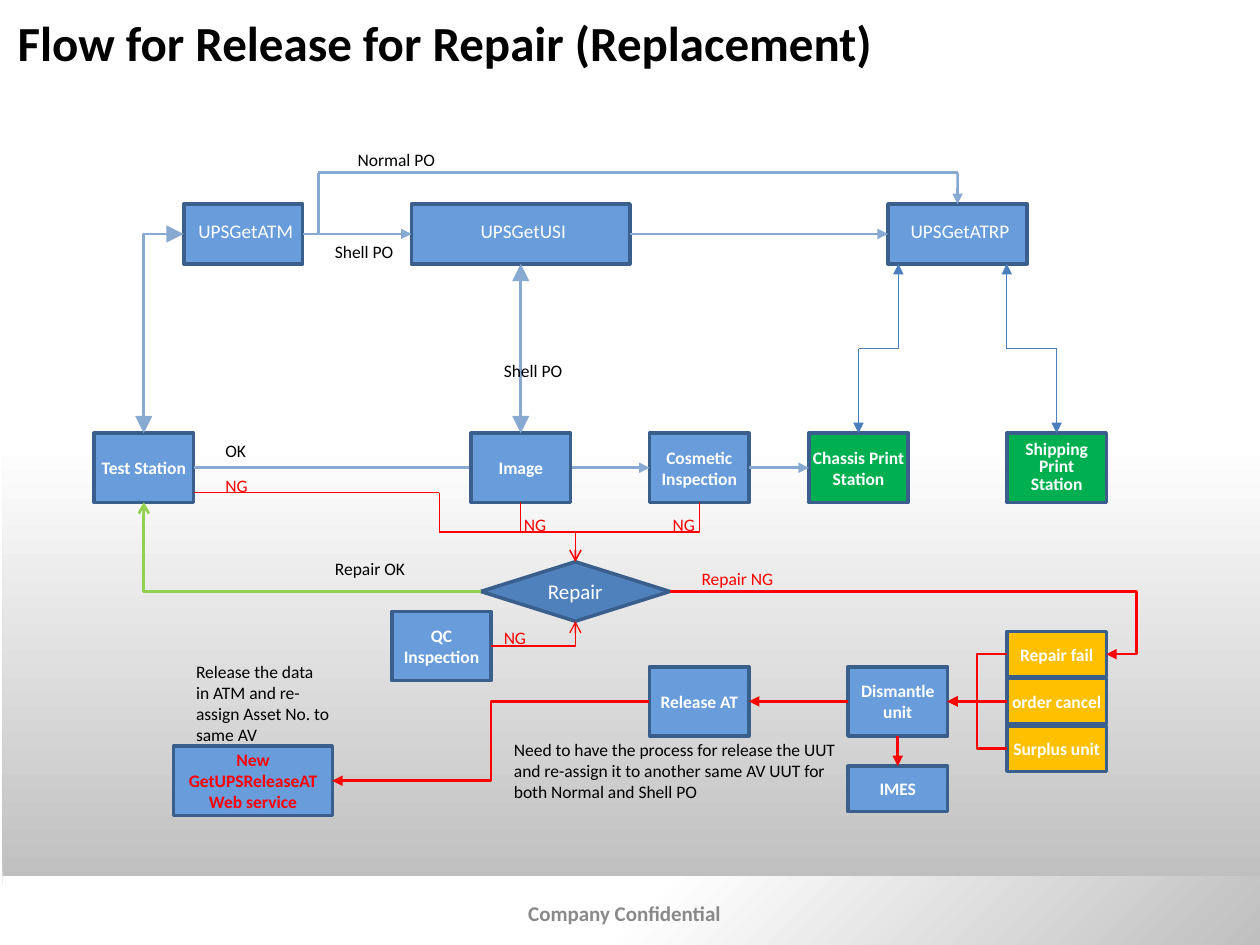
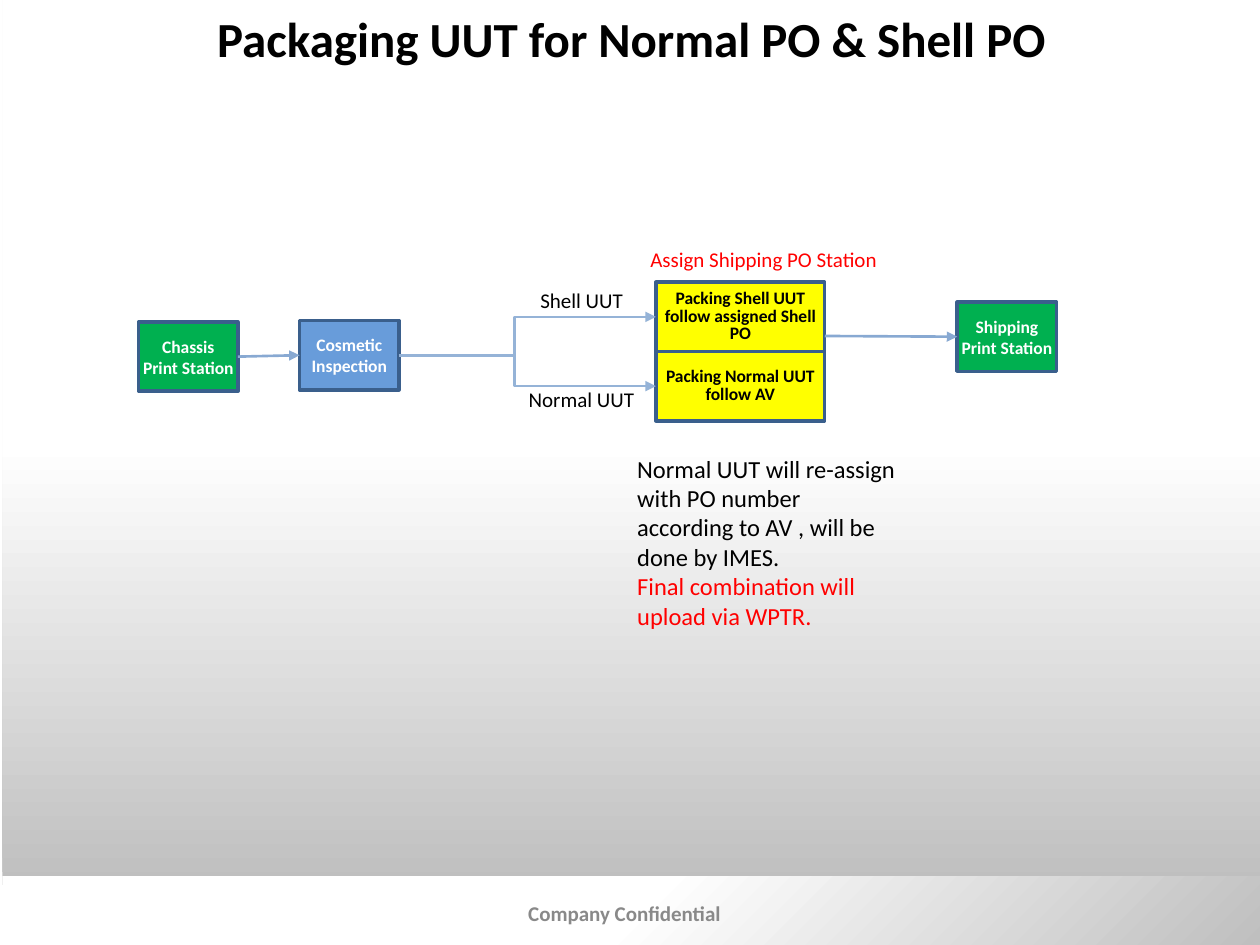
"""Build two slides on the repair release flow and the packaging flow."""
from lxml.etree import SubElement
from pptx import Presentation
from pptx.dml.color import RGBColor
from pptx.enum.shapes import MSO_CONNECTOR, MSO_SHAPE
from pptx.enum.text import MSO_ANCHOR, PP_ALIGN
from pptx.oxml.ns import qn
from pptx.util import Pt

FONT = "Calibri"
BLACK = RGBColor(0x00, 0x00, 0x00)
WHITE = RGBColor(0xFF, 0xFF, 0xFF)
GREY = RGBColor(0xBF, 0xBF, 0xBF)
FOOTER_GREY = RGBColor(0x89, 0x89, 0x89)
RED = RGBColor(0xFF, 0x00, 0x00)
BLUE = RGBColor(0x68, 0x9C, 0xDA)
REPAIR_BLUE = RGBColor(0x4F, 0x81, 0xBD)
OUTLINE = RGBColor(0x3A, 0x5F, 0x8C)
GREEN = RGBColor(0x00, 0xB0, 0x50)
ORANGE = RGBColor(0xFF, 0xC0, 0x00)
YELLOW = RGBColor(0xFF, 0xFF, 0x00)
FLOW_BLUE = RGBColor(0x88, 0xA9, 0xD2)
PRINT_BLUE = RGBColor(0x4B, 0x7E, 0xBC)
PACK_BLUE = RGBColor(0x95, 0xB3, 0xD7)
OK_GREEN = RGBColor(0x92, 0xD0, 0x50)

STATION_WIDTH, STATION_HEIGHT = 56.8, 39.6
SERVER_TOP, SERVER_HEIGHT = 116.6, 34.2
STATION_TOP = 247.5
TOP, LEFT, BOTTOM, RIGHT = range(4)


def format_text(frame, size, color, bold=False, align=PP_ALIGN.LEFT, spacing=None):
    """Format every paragraph and run of a text frame."""
    for para in frame.paragraphs:
        para.alignment = align
        if spacing:
            para.line_spacing = Pt(spacing)
        for span in para.runs:
            font = span.font
            font.name, font.size, font.bold = FONT, Pt(size), bold
            font.color.rgb = color


def add_label(slide, text, left, top, width, height, size=10, color=BLACK,
              bold=False, wrap=True):
    """Add a plain text box."""
    box = slide.shapes.add_textbox(Pt(left), Pt(top), Pt(width), Pt(height))
    frame = box.text_frame
    frame.text = text
    frame.word_wrap = wrap
    format_text(frame, size, color, bold)
    return box


def add_box(slide, text, left, top, width=STATION_WIDTH, height=STATION_HEIGHT,
            fill=BLUE, color=WHITE, size=10, bold=True, spacing=None, inset=3.6,
            kind=MSO_SHAPE.RECTANGLE):
    """Add an outlined flow box with centred text."""
    box = slide.shapes.add_shape(kind, Pt(left), Pt(top), Pt(width), Pt(height))
    box.shadow.inherit = False
    box.fill.solid()
    box.fill.fore_color.rgb = fill
    box.line.color.rgb = OUTLINE
    box.line.width = Pt(2)
    frame = box.text_frame
    frame.text = text
    frame.word_wrap = True
    frame.vertical_anchor = MSO_ANCHOR.MIDDLE
    frame.margin_left = frame.margin_right = 0
    frame.margin_top = frame.margin_bottom = Pt(inset)
    format_text(frame, size, color, bold, PP_ALIGN.CENTER, spacing)
    return box


def add_server(slide, text, left, width):
    """Add a box of the top row."""
    box = add_box(slide, text, left, SERVER_TOP, width, SERVER_HEIGHT,
                  size=11, bold=False, spacing=10)
    box.text_frame.margin_left = Pt(2.9)
    return box


def style_line(line, color, width, head=None, tail=None, size="med"):
    """Set colour, width and arrowheads of a connector without a shadow."""
    line.line.color.rgb = color
    line.line.width = Pt(width)
    outline = line.line._get_or_add_ln()
    for tag, arrow in (("a:headEnd", head), ("a:tailEnd", tail)):
        if arrow:
            SubElement(outline, qn(tag), type=arrow, w=size, len=size)
    SubElement(line._element.spPr, qn("a:effectLst"))


def join(slide, start, start_side, end, end_side, kind=MSO_CONNECTOR.STRAIGHT):
    """Add a connector glued to the sides of two shapes."""
    line = slide.shapes.add_connector(kind, 0, 0, 0, 0)
    line.begin_connect(start, start_side)
    line.end_connect(end, end_side)
    return line


def add_arrow(slide, start, start_side, end, end_side, color=FLOW_BLUE,
              head=None, size="med"):
    """Add a straight arrow between two shapes."""
    line = join(slide, start, start_side, end, end_side)
    style_line(line, color, 1.5, head, "triangle", size)


def add_elbow(slide, start, start_side, end, end_side, color=RED, width=1.5,
              head=None, tail="triangle", size="med", bend=None):
    """Add an elbow arrow, choosing its form from the sides it joins."""
    line = join(slide, start, start_side, end, end_side, MSO_CONNECTOR.ELBOW)
    geometry = line._element.spPr.find(qn("a:prstGeom"))
    if start_side == BOTTOM:
        turn_downward(line)
    elif end_side in (TOP, BOTTOM):
        geometry.set("prst", "bentConnector2")
    if bend:
        guides = geometry.find(qn("a:avLst"))
        SubElement(guides, qn("a:gd"), name="adj1", fmla=f"val {round(bend * 100000)}")
    style_line(line, color, width, head, tail, size)


def turn_downward(line):
    """Rotate an elbow so that it leaves its start going down."""
    rightward = line.end_x > line.begin_x
    center_x, center_y = line.left + line.width // 2, line.top + line.height // 2
    width, height = line.height, line.width
    line.left, line.top = center_x - width // 2, center_y - height // 2
    line.width, line.height = width, height
    frame = line._element.spPr.find(qn("a:xfrm"))
    frame.set("rot", str((270 if rightward else 90) * 60000))
    frame.set("flipH", "1" if rightward else "0")
    frame.set("flipV", "0")


def add_route(slide, points, color, width, head=None, tail=None, target=None):
    """Add straight segments through the points, with arrowheads at the ends."""
    last = len(points) - 2
    for index, (begin, end) in enumerate(zip(points, points[1:])):
        corners = [Pt(value) for value in begin + end]
        line = slide.shapes.add_connector(MSO_CONNECTOR.STRAIGHT, *corners)
        if target and index == last:
            line.end_connect(*target)
        style_line(line, color, width, head if index == 0 else None,
                   tail if index == last else None)


def add_band(slide, top, height):
    """Add a full-width band that fades from grey to white."""
    band = slide.shapes.add_shape(MSO_SHAPE.RECTANGLE, Pt(1.4), Pt(top), Pt(720), Pt(height))
    band.shadow.inherit = False
    band.line.fill.background()
    band.fill.gradient()
    band.fill.gradient_angle = 90
    for stop, color, position in zip(band.fill.gradient_stops, (GREY, WHITE), (0, 0.5)):
        stop.color.rgb = color
        stop.position = position
    return band


def decorate_master(deck, slide):
    """Place the bands and the footer on the slide master."""
    backdrop = add_band(slide, 0, 506)
    footer_band = add_band(slide, 500.7, 39.3)
    gradient = footer_band._element.spPr.find(qn("a:gradFill"))
    gradient.remove(gradient.find(qn("a:lin")))
    circle = SubElement(gradient, qn("a:path"), path="circle")
    SubElement(circle, qn("a:fillToRect"), l="100000", t="100000")
    footer = add_label(slide, "Company Confidential", 276.9, 511.2, 160, 21.8,
                       12, FOOTER_GREY, True)
    footer.text_frame.paragraphs[0].alignment = PP_ALIGN.CENTER
    tree = deck.slide_master.shapes._spTree
    for index, shape in enumerate((backdrop, footer_band, footer)):
        tree.insert(2 + index, shape._element)


def add_page(deck, title, left, top, width):
    """Add a slide and set its title."""
    slide = deck.slides.add_slide(deck.slide_layouts[5])
    box = slide.shapes.title
    box.left, box.top, box.width, box.height = Pt(left), Pt(top), Pt(width), Pt(41)
    frame = box.text_frame
    frame.text = title
    frame.word_wrap = False
    frame.vertical_anchor = MSO_ANCHOR.TOP
    format_text(frame, 28, BLACK, True)
    return slide


def build_repair_flow(slide):
    """Draw the release for repair flow."""
    atm = add_server(slide, "UPSGetATM", 105, 68)
    usi = add_server(slide, "UPSGetUSI", 235.2, 124.8)
    atrp = add_server(slide, "UPSGetATRP", 507.4, 79.6)

    test = add_box(slide, "Test Station", 53.8, STATION_TOP)
    cosmetic = add_box(slide, "Cosmetic Inspection", 371.2, STATION_TOP)
    add_arrow(slide, test, RIGHT, cosmetic, LEFT)
    image = add_box(slide, "Image", 269.2, STATION_TOP)
    chassis = add_box(slide, "Chassis Print Station", 462.2, STATION_TOP, fill=GREEN)
    shipping = add_box(slide, "Shipping Print\nStation", 575.4, STATION_TOP,
                       fill=GREEN, spacing=10, inset=0)

    repair = add_box(slide, "Repair", 274.8, 321, 108, 34, REPAIR_BLUE, size=12,
                     bold=False, kind=MSO_SHAPE.FLOWCHART_DECISION)
    inspection = add_box(slide, "QC\nInspection", 223.9, 349.4)
    release = add_box(slide, "Release AT", 371.2, 381)
    dismantle = add_box(slide, "Dismantle unit", 484.6, 381)
    service = add_box(slide, "New GetUPSReleaseAT Web service", 99.2, 426.4, 90.7, color=RED)
    imes = add_box(slide, "IMES", 484.6, 437.8, height=26)
    failed, cancelled, surplus = [
        add_box(slide, text, 575.4, 360.8 + 27 * row, height=26, fill=ORANGE)
        for row, text in enumerate(("Repair fail", "order cancel", "Surplus unit"))]

    add_arrow(slide, atm, RIGHT, usi, LEFT)
    add_arrow(slide, usi, RIGHT, atrp, LEFT)
    add_arrow(slide, usi, BOTTOM, image, TOP, head="triangle", size="lg")
    add_arrow(slide, cosmetic, RIGHT, chassis, LEFT)
    add_arrow(slide, dismantle, LEFT, release, RIGHT, RED)
    add_arrow(slide, dismantle, BOTTOM, imes, TOP, RED)
    add_arrow(slide, cancelled, LEFT, dismantle, RIGHT, RED)

    add_elbow(slide, atm, LEFT, test, TOP, FLOW_BLUE, head="triangle", size="lg")
    add_elbow(slide, release, LEFT, service, RIGHT)
    add_elbow(slide, failed, LEFT, dismantle, RIGHT)
    add_elbow(slide, surplus, LEFT, dismantle, RIGHT)
    add_elbow(slide, repair, RIGHT, failed, RIGHT, bend=1.07)
    add_elbow(slide, repair, LEFT, test, BOTTOM, OK_GREEN, tail="arrow")
    add_elbow(slide, inspection, RIGHT, repair, BOTTOM, width=0.75, tail="arrow")
    for station in (image, cosmetic):
        add_elbow(slide, station, BOTTOM, repair, TOP, width=0.75, tail="arrow")

    add_route(slide, [(182, 133.7), (182, 98.6), (547.2, 98.6), (547.2, SERVER_TOP)],
              FLOW_BLUE, 1.5, tail="triangle", target=(atrp, TOP))
    add_route(slide, [(110.6, 281.5), (251, 281.5), (251, 304), (328.8, 304)], RED, 0.75)
    for begin_x, end_x, station in ((513.4, 490.6, chassis), (575.3, 603.8, shipping)):
        points = [(begin_x, 150.8), (begin_x, 199.2), (end_x, 199.2), (end_x, STATION_TOP)]
        add_route(slide, points, PRINT_BLUE, 0.75, "triangle", "triangle", (station, TOP))

    for text, left, top, width, color in (
            ("Normal PO", 197.3, 81.4, 62.6, BLACK),
            ("Shell PO", 184.3, 133.9, 51, BLACK),
            ("Shell PO", 280.8, 202.3, 51, BLACK),
            ("OK", 121.7, 247.7, 34, BLACK),
            ("NG", 121.7, 267.8, 28, RED),
            ("NG", 292.3, 290.2, 28, RED),
            ("NG", 377.3, 290.2, 28, RED),
            ("NG", 280.8, 355, 28, RED),
            ("Repair OK", 184.3, 315.4, 68, BLACK),
            ("Repair NG", 393.8, 321.1, 68, RED)):
        add_label(slide, text, left, top, width, 19.4, color=color)
    add_label(slide, "Release the data in ATM and re-assign Asset No. to same AV",
              105, 374.4, 90.7, 55.4)
    add_label(slide, "Need to have the process for release the UUT and re-assign it "
              "to another same AV UUT for both Normal and Shell PO", 286.6, 419, 203.8, 44)


def build_packaging_flow(slide):
    """Draw the packaging flow."""
    chassis = add_box(slide, "Chassis\nPrint Station", 79.2, 184, fill=GREEN)
    cosmetic = add_box(slide, "Cosmetic Inspection", 171.2, 183.2)
    shell, normal = [
        add_box(slide, text, 374.8, 161.3 + STATION_HEIGHT * row, 96.5,
                fill=YELLOW, color=BLACK, spacing=10, inset=0)
        for row, text in enumerate(("Packing Shell UUT follow assigned Shell PO",
                                    "Packing Normal UUT follow AV"))]
    shipping = add_box(slide, "Shipping Print Station", 547, 172.6, fill=GREEN)

    add_arrow(slide, chassis, RIGHT, cosmetic, LEFT)
    add_route(slide, [(471.3, 192), (547, 192.4)], FLOW_BLUE, 1.5,
              tail="triangle", target=(shipping, LEFT))
    for packing in (shell, normal):
        add_elbow(slide, cosmetic, RIGHT, packing, LEFT, PACK_BLUE, bend=0.45)

    for text, left, top, width, color in (
            ("Shell UUT", 301.7, 160.8, 62.6, BLACK),
            ("Normal UUT", 295, 217.4, 75.6, BLACK),
            ("Assign Shipping PO Station", 364.5, 137.5, 145.4, RED)):
        add_label(slide, text, left, top, width, 21.8, 12, color, wrap=False)
    note = add_label(slide, "Normal UUT will re-assign with PO number according to AV , "
                     "will be done by IMES.\nFinal combination will upload via WPTR.",
                     357, 255.6, 162, 108.7, 14)
    note.text_frame.paragraphs[1].runs[0].font.color.rgb = RED


def main():
    """Build and save the deck."""
    deck = Presentation()
    deck.slide_width, deck.slide_height = Pt(720), Pt(540)
    repair_page = add_page(deck, "Flow for Release for Repair (Replacement)", 2.9, 3.6, 508.3)
    decorate_master(deck, repair_page)
    build_repair_flow(repair_page)
    packaging_page = add_page(deck, "Packaging UUT for Normal PO & Shell PO", 116.9, 1.4, 493.2)
    build_packaging_flow(packaging_page)
    deck.save("out.pptx")


if __name__ == "__main__":
    main()
